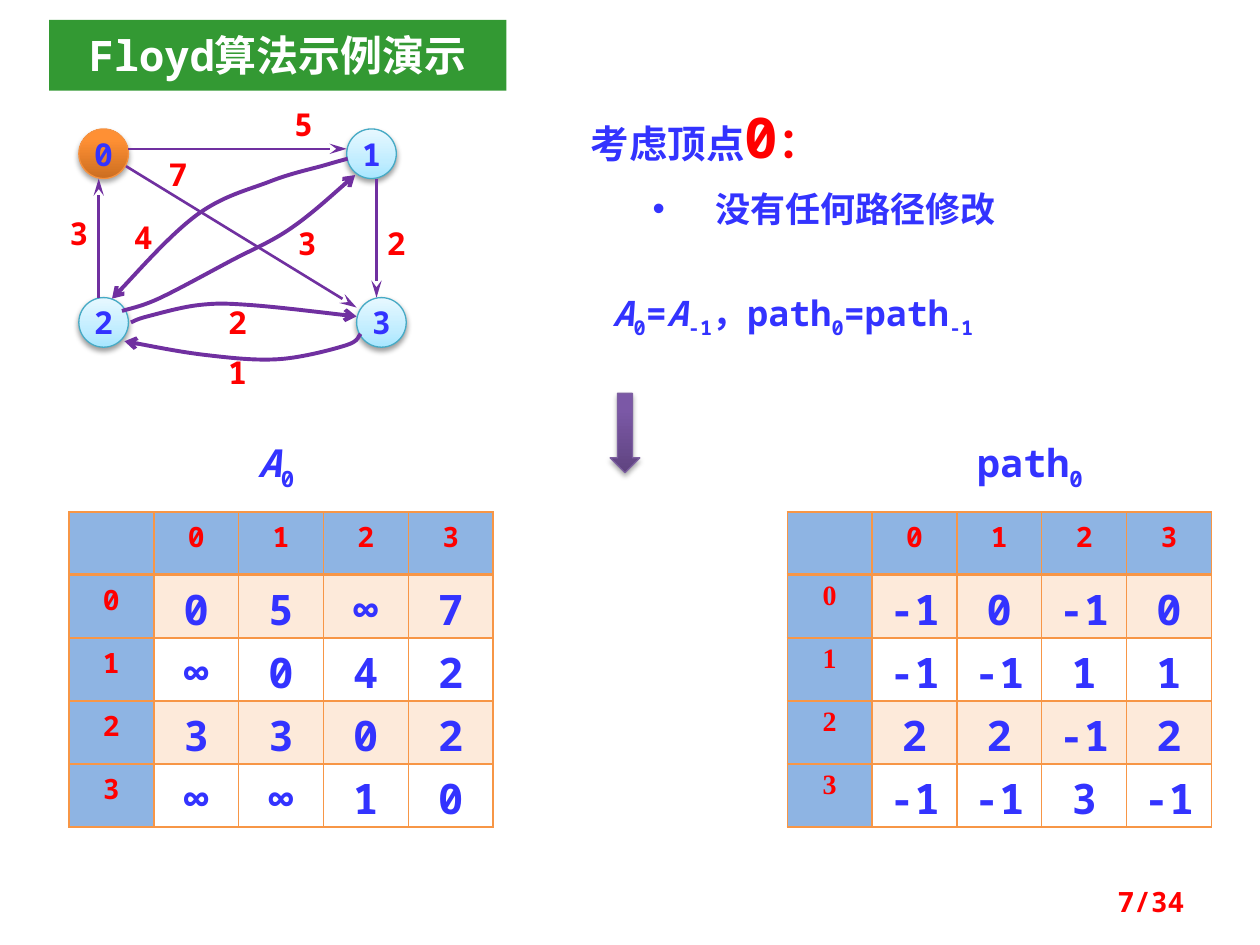
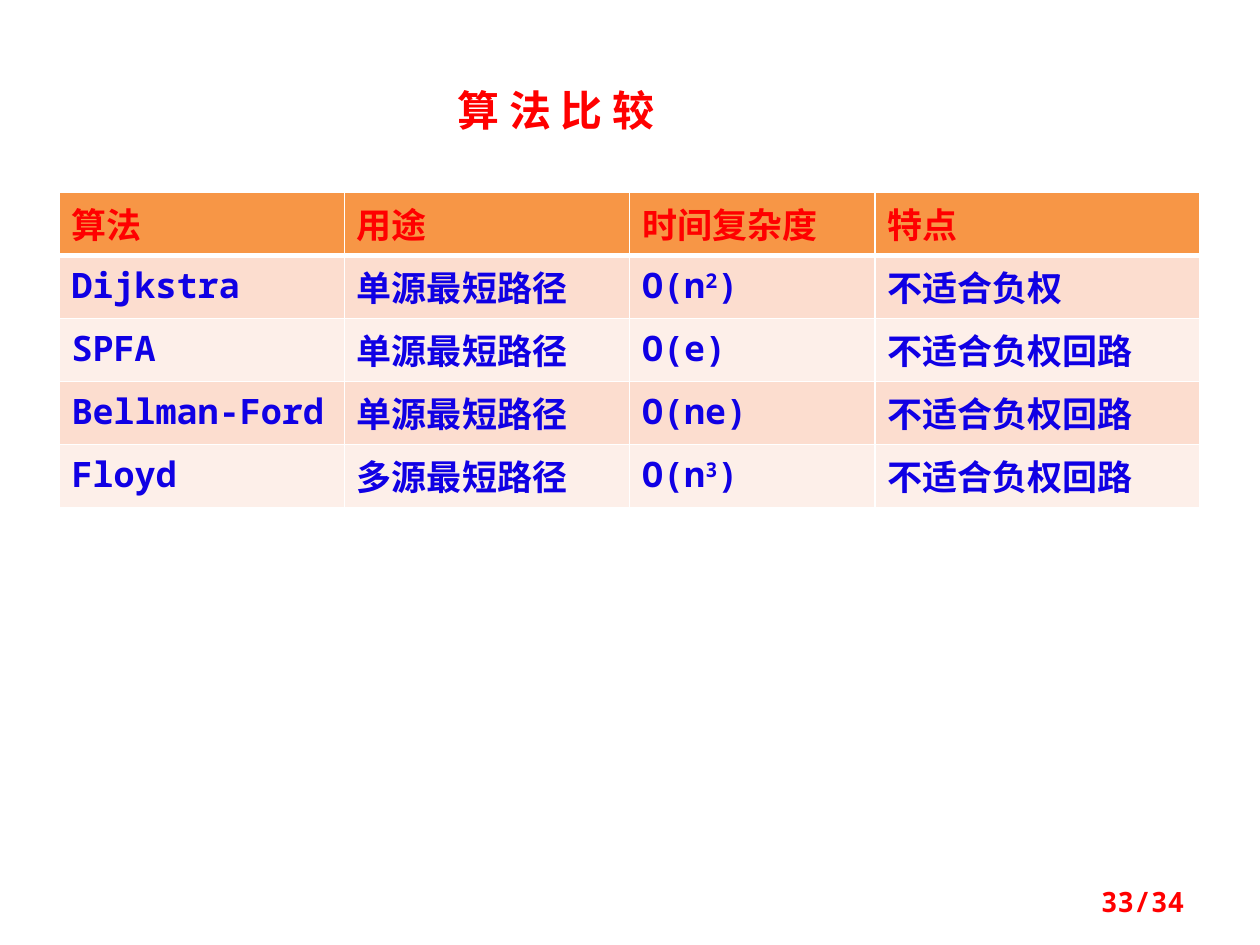
from copy import deepcopy

from pptx import Presentation
from pptx.dml.color import RGBColor as RGB
from pptx.enum.shapes import MSO_CONNECTOR as Connector, MSO_SHAPE as Preset
from pptx.enum.text import MSO_ANCHOR as Anchor, MSO_AUTO_SIZE as AutoSize, PP_ALIGN as Align
from pptx.oxml import parse_xml
from pptx.oxml.ns import nsdecls, qn
from pptx.util import Cm, Pt

# ---- Shared look ----
COLORS = {
    "red": "FF0000", "blue": "3333FF", "deep_blue": "1000E4", "white": "FFFFFF",
    "green": "339933", "purple": "7030A0", "orange": "F79646", "cream": "FDEADA",
    "sky": "8EB4E3", "peach": "FCDDCF", "pale": "FDEFE9",
}
MONO, CJK, SERIF = "Noto Sans Mono", "Noto Sans CJK JP", "Times New Roman"
PAGE_COUNT = 34
PAGE_BOX = (18.21, 17.65, 5.92, 1.02)

# Gradient stops from bottom to top, outline, shadow opacity in percent
GLOSS = {
    "amber": ([(0, "CC6E20"), (0.8, "FF9034"), (1, "FF9136")], "F69240", 35),
    "ice": ([(0, "A7E6FF"), (0.35, "C1EDFF"), (1, "E7F8FF")], "46AAC5", 38),
    "violet": ([(0, "5F4480"), (0.8, "7B58A6"), (1, "7C57A8")], "7D60A0", 35),
}

# ---- Slide 1 content: boxes are left, top, width, height in cm ----
DEMO_TITLE = [("Floyd算法示例演示", {})]
DEMO_TITLE_BOX = (0.99, 0.4, 9.22, 1.43)
NO_CHANGE = [("没有任何路径修改", {})]
NO_CHANGE_BOX = (12.9, 3.66, 7.75, 1.12)
SUB, ITALIC = {"baseline": -25}, {"italic": True}
HEADING = [("考虑顶点", {}), ("0", {"size": 32, "color": "red"}),
           ("：", {"size": 24, "color": "red"})]
FORMULA = [("A", ITALIC), ("0", SUB), ("=", {}), ("A", ITALIC), ("-1", SUB),
           ("，path", {}), ("0", SUB), ("=path", {}), ("-1", SUB)]
MATRICES = [  # caption, caption box, table left, font of row numbers, values
    ([("A", ITALIC), ("0", SUB)], (4.95, 8.73, 1.78, 1.19), 1.39, MONO,
     ["0 5 ∞ 7", "∞ 0 4 2", "3 3 0 2", "∞ ∞ 1 0"]),
    ([("path", {}), ("0", SUB)], (19.45, 8.73, 2.77, 1.19), 15.87, SERIF,
     ["-1 0 -1 0", "-1 -1 1 1", "2 2 -1 2", "-1 -1 3 -1"]),
]
MATRIX_TOP, MATRIX_COLUMN, ROW_HEIGHT = 10.32, 1.71, 1.27

# The graph: vertices, edges and weights
VERTICES = [("0", 1.59, 2.6, "amber"), ("1", 6.99, 2.6, "ice"),
            ("2", 1.59, 6, "ice"), ("3", 7.19, 6, "ice")]
STRAIGHT_EDGES = [((2.59, 3), (6.99, 3)), ((1.99, 6), (1.99, 3.6)),
                  ((2.54, 3.35), (7.19, 6.2)), ((7.59, 3.6), (7.59, 6))]
CURVED_EDGES = [
    [(7.27, 6.73), (6.98, 6.96), (5.64, 7.24), (4.17, 7.16), (2.51, 6.88)],
    [(2.64, 6.5), (2.97, 6.38), (4.01, 6.15), (5.05, 6.15), (7.19, 6.38)],
    [(7.01, 3.2), (6.55, 3.33), (5.44, 3.66), (3.96, 4.34), (2.26, 6.02)],
    [(2.46, 6.27), (3.2, 6.02), (4.65, 5.26), (5.87, 4.6), (7.16, 3.53)],
]
WEIGHTS = [("5", 5.52, 2), ("3", 0.99, 4.2), ("2", 7.39, 4.4), ("7", 2.99, 3),
           ("3", 5.59, 4.4), ("1", 4.19, 7), ("2", 4.19, 5.99), ("4", 2.29, 4.27)]

# ---- Slide 2 content ----
COMPARE_TITLE = [("算 法 比 较", {})]
COMPARE_TITLE_BOX = (8.13, 1.57, 6.15, 1.27)
COMPARE_COLUMNS = [5.75, 5.75, 4.95, 6.55]
SUPER = {"baseline": 30}
COMPARE_ROWS = [
    ["算法", "用途", "时间复杂度", "特点"],
    ["Dijkstra", "单源最短路径", [("O(n", {}), ("2", SUPER), (")", {})], "不适合负权"],
    ["SPFA", "单源最短路径", "O(e)", "不适合负权回路"],
    ["Bellman-Ford", "单源最短路径", "O(ne)", "不适合负权回路"],
    ["Floyd", "多源最短路径", [("O(n", {}), ("3", SUPER), (")", {})], "不适合负权回路"],
]


# ---- Text ----
def color(name):
    return RGB.from_string(COLORS.get(name, name))


def write(frame, runs, align=Align.LEFT, **base):
    """Fill a text frame with one paragraph of (text, format) runs."""
    paragraph = frame.paragraphs[0]
    paragraph.alignment = align
    paragraph.space_before = Pt(0)
    for text, changes in runs:
        look = {"name": MONO, "bold": True, **base, **changes}
        run = paragraph.add_run()
        run.text = text
        run.font.color.rgb = color(look.pop("color"))
        look["size"] = Pt(look["size"])
        baseline = look.pop("baseline", 0)
        for key, value in look.items():
            setattr(run.font, key, value)
        properties = run._r.get_or_add_rPr()
        if baseline:
            properties.set("baseline", str(baseline * 1000))
        properties.append(parse_xml(f'<a:ea {nsdecls("a")} typeface="{CJK}"/>'))
    return paragraph


def prepare(frame, **settings):
    frame.word_wrap = True
    frame.auto_size = AutoSize.NONE
    for key, value in settings.items():
        setattr(frame, key, value)
    return frame


def add_text(slide, box, runs, align=Align.LEFT, frame_settings=None, **base):
    text_box = slide.shapes.add_textbox(*map(Cm, box))
    write(prepare(text_box.text_frame, **(frame_settings or {})), runs, align, **base)


def fill_placeholder(placeholder, box, runs, align=Align.LEFT, frame_settings=None, **base):
    for side, value in zip(("left", "top", "width", "height"), box):
        setattr(placeholder, side, Cm(value))
    frame = prepare(placeholder.text_frame, vertical_anchor=Anchor.TOP,
                    **(frame_settings or {}))
    return write(frame, runs, align, **base)


def add_page_number(slide, number):
    add_text(slide, PAGE_BOX, [(f"{number}/{PAGE_COUNT}", {})], Align.RIGHT,
             {"vertical_anchor": Anchor.MIDDLE}, size=16, color="red")


# ---- Shapes and lines ----
def add_glossy(slide, preset, box, gloss):
    stops, outline, opacity = GLOSS[gloss]
    shape = slide.shapes.add_shape(preset, *map(Cm, box))
    shape.fill.gradient()
    shape.fill.gradient_angle = 90
    properties = shape._element.spPr
    stop_list = properties.find(qn("a:gradFill")).find(qn("a:gsLst"))
    stop_list.insert(1, deepcopy(stop_list[0]))
    for stop, (position, tone) in zip(shape.fill.gradient_stops, stops):
        stop.position = position
        stop.color.rgb = color(tone)
    shape.line.color.rgb = color(outline)
    shape.line.width = Pt(0.75)
    shape.shadow.inherit = False
    properties.find(qn("a:effectLst")).append(parse_xml(
        f'<a:outerShdw {nsdecls("a")} blurRad="{Pt(3.1)}" dist="{Pt(1.8)}" dir="5400000" '
        f'rotWithShape="0"><a:srgbClr val="000000"><a:alpha val="{opacity * 1000}"/>'
        '</a:srgbClr></a:outerShdw>'))
    return shape


def style_edge(edge, width, head, length):
    edge.line.color.rgb = color("purple")
    edge.line.width = Pt(width)
    properties = edge._element.spPr
    properties.find(qn("a:ln")).append(parse_xml(
        f'<a:tailEnd {nsdecls("a")} type="{head}" w="med" len="{length}"/>'))
    properties.append(parse_xml(f'<a:effectLst {nsdecls("a")}/>'))


def add_curve(slide, knots):
    """Draw a smooth line through the knots, one Bezier segment per pair."""
    knots = [(Cm(x), Cm(y)) for x, y in knots]
    outline = slide.shapes.build_freeform(*knots[0])
    outline.add_line_segments(knots[1:], close=False)
    curve = outline.convert_to_shape()
    curve.fill.background()
    padded = [knots[0], *knots, knots[-1]]
    segments = list(curve._element.iter(qn("a:lnTo")))
    for segment, before, start, end, after in zip(
            segments, padded, padded[1:], padded[2:], padded[3:]):
        leaving = [s + (e - b) / 6 for b, s, e in zip(before, start, end)]
        arriving = [e - (a - s) / 6 for s, e, a in zip(start, end, after)]
        points = "".join(f'<a:pt x="{round(x - curve.left)}" y="{round(y - curve.top)}"/>'
                         for x, y in (leaving, arriving, end))
        segment.getparent().replace(segment, parse_xml(
            f'<a:cubicBezTo {nsdecls("a")}>{points}</a:cubicBezTo>'))
    return curve


def add_graph(slide):
    for name, left, top, gloss in VERTICES:
        vertex = add_glossy(slide, Preset.OVAL, (left, top, 1, 1), gloss)
        frame = prepare(vertex.text_frame, word_wrap=False, vertical_anchor=Anchor.MIDDLE)
        write(frame, [(name, {})], Align.CENTER, size=18, color="blue")
    for start, end in STRAIGHT_EDGES:
        edge = slide.shapes.add_connector(Connector.STRAIGHT, *map(Cm, start + end))
        style_edge(edge, 1.5, "stealth", "lg")
    for weight, left, top in WEIGHTS:
        add_text(slide, (left, top, 1.2, 1), [(weight, {})], Align.CENTER,
                 size=18, color="red")
    for knots in CURVED_EDGES:
        style_edge(add_curve(slide, knots), 2.25, "arrow", "med")


# ---- Tables ----
def set_borders(cell, tone, widths):
    properties = cell._tc.get_or_add_tcPr()
    for side in "LRTB":
        properties.append(parse_xml(
            f'<a:ln{side} {nsdecls("a")} w="{Pt(widths.get(side, 1))}"><a:solidFill>'
            f'<a:srgbClr val="{COLORS[tone]}"/></a:solidFill></a:ln{side}>'))


def add_grid(slide, left, top, columns, rows, border, header_rule, look):
    """Draw a table; look(row, column) gives fill, alignment and font."""
    grid = slide.shapes.add_table(
        len(rows), len(columns), *map(Cm, (left, top, sum(columns), ROW_HEIGHT * len(rows)))).table
    for column, width in zip(grid.columns, columns):
        column.width = Cm(width)
    for r, row in enumerate(rows):
        grid.rows[r].height = Cm(ROW_HEIGHT)
        for c, content in enumerate(row):
            cell = grid.cell(r, c)
            cell.margin_top, cell.margin_bottom = Cm(0.11), 0
            set_borders(cell, border, {0: {"B": header_rule}, 1: {"T": header_rule}}.get(r, {}))
            fill, align, font = look(r, c)
            if fill:
                cell.fill.solid()
                cell.fill.fore_color.rgb = color(fill)
            else:
                cell.fill.background()
            if content:
                runs = [(content, {})] if isinstance(content, str) else content
                write(cell.text_frame, runs, align, **font)


def add_matrix(slide, left, row_font, values):
    def look(r, c):
        if r == 0 or c == 0:
            return "sky", Align.CENTER, {"size": 16, "color": "red",
                                         "name": row_font if r else MONO}
        return "cream" if r % 2 else None, Align.CENTER, {"size": 24, "color": "blue"}

    rows = [line.split() for line in values]
    numbered = [[str(i), *row] for i, row in enumerate(rows)]
    header = ["", *map(str, range(len(rows)))]
    add_grid(slide, left, MATRIX_TOP, [MATRIX_COLUMN] * len(header),
             [header, *numbered], "orange", 2, look)


def compare_look(r, c):
    fill = "orange" if r == 0 else "peach" if r % 2 else "pale"
    return fill, Align.LEFT, {"size": 20, "color": "deep_blue" if r else "red"}


# ---- Slides ----
def build_demo(deck):
    slide = deck.slides.add_slide(deck.slide_layouts[1])
    title, body = slide.placeholders
    title.fill.solid()
    title.fill.fore_color.rgb = color("green")
    fill_placeholder(title, DEMO_TITLE_BOX, DEMO_TITLE, Align.CENTER,
                     {"margin_left": 0, "margin_right": 0, "margin_top": Cm(0.2),
                      "margin_bottom": Cm(0.2)}, size=24, color="white")
    bullet = fill_placeholder(body, NO_CHANGE_BOX, NO_CHANGE, size=20, color="blue")
    for key, value in {"marL": Cm(1.27), "indent": -Cm(1.27)}.items():
        bullet._p.get_or_add_pPr().set(key, str(value))
    add_graph(slide)
    no_margins = {f"margin_{side}": 0 for side in ("left", "top", "right", "bottom")}
    add_text(slide, (11.91, 2.06, 5.66, 1.37), HEADING, frame_settings=no_margins,
             size=22, color="blue")
    add_text(slide, (12.1, 5.75, 9.12, 1.12), FORMULA, size=20, color="blue")
    add_glossy(slide, Preset.DOWN_ARROW, (12.3, 7.93, 0.6, 1.6), "violet")
    for caption, box, left, row_font, values in MATRICES:
        add_text(slide, box, caption, size=22, color="blue")
        add_matrix(slide, left, row_font, values)
    add_page_number(slide, 7)


def build_comparison(deck):
    slide = deck.slides.add_slide(deck.slide_layouts[5])
    fill_placeholder(slide.shapes.title, COMPARE_TITLE_BOX, COMPARE_TITLE, Align.CENTER,
                     name=CJK, size=24, color="red")
    add_grid(slide, 1.19, 3.88, COMPARE_COLUMNS, COMPARE_ROWS, "white", 3, compare_look)
    add_page_number(slide, 33)


def main():
    deck = Presentation()
    deck.slide_width, deck.slide_height = Cm(25.4), Cm(19.05)
    build_demo(deck)
    build_comparison(deck)
    deck.save("out.pptx")


if __name__ == "__main__":
    main()
